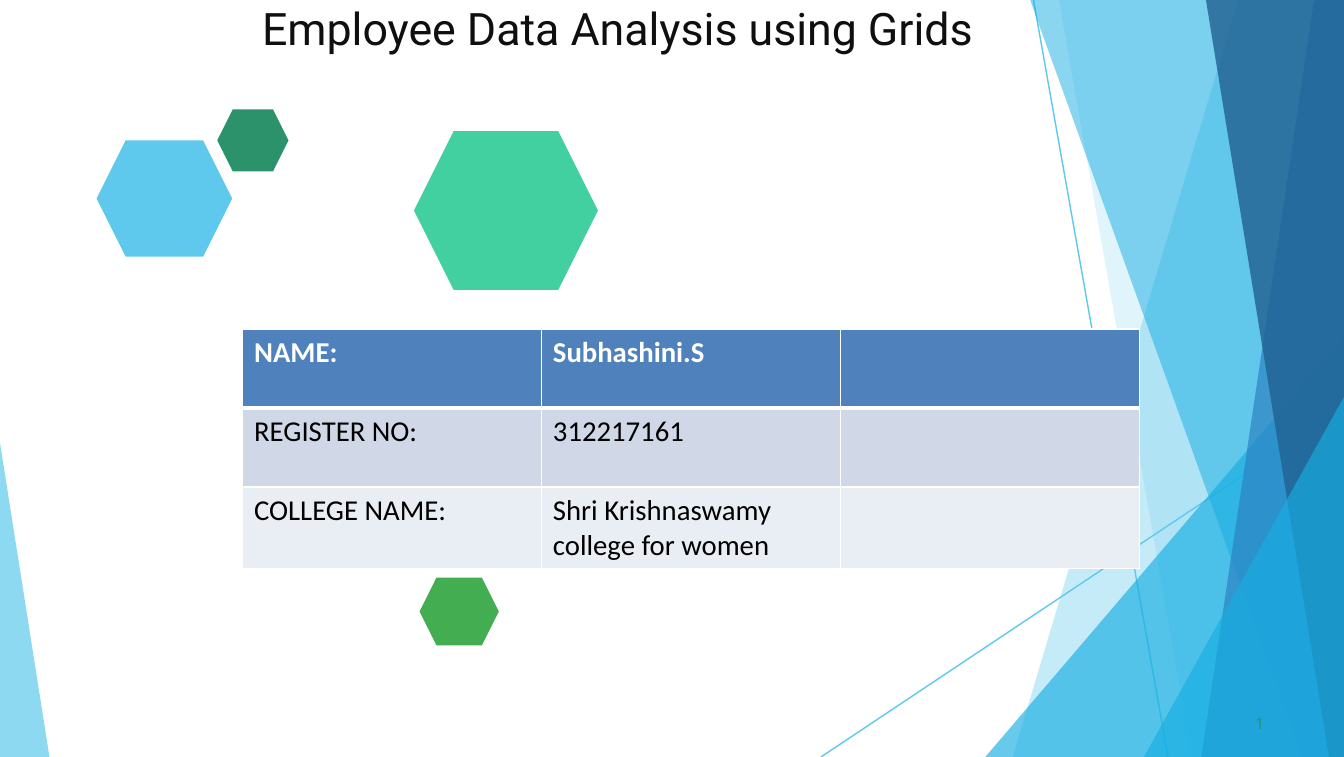
from lxml import etree
from pptx import Presentation
from pptx.dml.color import RGBColor
from pptx.enum.shapes import MSO_CONNECTOR, MSO_SHAPE
from pptx.enum.text import MSO_ANCHOR, MSO_AUTO_SIZE, PP_ALIGN
from pptx.oxml.ns import qn
from pptx.util import Inches, Pt

STRAIGHT = MSO_CONNECTOR.STRAIGHT
HEXAGON = MSO_SHAPE.HEXAGON
TOP = MSO_ANCHOR.TOP
NO_FIT = MSO_AUTO_SIZE.NONE
LEFT = PP_ALIGN.LEFT

W, H = Inches(11.69), Inches(6.58)
SKY, CYAN, WHITE = "5FC9ED", "16AEE2", "FFFFFF"

# Ray: x1, y1, x2, y2 in percent of the slide
RAYS = [(76.9, 0, 86.91, 100), (100, 53.95, 61.08, 100)]
# Facet: foot x, tip x, tip y, side x in percent, then colour and opacity
FACETS = [
    (75.36, 92.13, 0, 100, SKY, 36),
    (88.71, 78.79, 0, 100, SKY, 20),
    (73.31, 100, 44.53, 100, CYAN, 65),
    (96.92, 76.65, 0, 100, CYAN, 50),
    (89.39, 97.78, 0, 100, "2C83C3", 70),
    (98.89, 89.73, 0, 100, "216092", 80),
    (85.12, 100, 52.43, 100, CYAN, 65),
    (3.68, 0, 58.51, 0, SKY, 70),
]
# Hexagon: left, top, width, height in percent, then colour
HEXAGONS = [
    (7.19, 18.54, 10.09, 15.35, SKY),
    (16.17, 14.44, 5.3, 8.21, "2C926B"),
    (30.8, 17.33, 13.69, 20.97, "42D0A0"),
    (31.22, 76.29, 5.9, 8.97, "42AE51"),
]
DETAILS = [
    ("NAME:", "Subhashini.S", ""),
    ("REGISTER NO:", "312217161", ""),
    ("COLLEGE NAME:", "Shri Krishnaswamy college for women", ""),
]
ROW_FILLS = ["4F81BD", "D0D8E8", "E9EDF4"]


def rgb(hex_code):
    """Turn a hex string into a colour."""
    return RGBColor.from_string(hex_code)


def place(x, y):
    """Turn percentages of the slide into lengths."""
    return int(W * x / 100), int(H * y / 100)


def paint(sp, color, opacity=100):
    """Give a shape a flat fill without line or shadow."""
    sp.shadow.inherit = False
    sp.line.fill.background()
    sp.fill.solid()
    sp.fill.fore_color.rgb = rgb(color)
    if opacity < 100:
        clr = sp.fill._xPr.find(".//" + qn("a:srgbClr"))
        etree.SubElement(clr, qn("a:alpha"), val=str(opacity * 1000))


def add_ray(s, x1, y1, x2, y2):
    """Draw a thin line across the backdrop."""
    ray = s.shapes.add_connector(STRAIGHT, *place(x1, y1), *place(x2, y2))
    ray.line.color.rgb = rgb(SKY)
    ray.line.width = Pt(0.88)
    etree.SubElement(ray._element.spPr, qn("a:effectLst"))


def add_facet(s, foot, tip_x, tip_y, side, color, opacity):
    """Draw a translucent facet between a slanted edge and a slide side."""
    corners = [(tip_x, tip_y), (side, tip_y), (side, 100)]
    fb = s.shapes.build_freeform(*place(foot, 100))
    fb.add_line_segments([place(*c) for c in corners], close=True)
    paint(fb.convert_to_shape(), color, opacity)


def add_hexagon(s, x, y, w, h, color):
    """Draw a plain hexagon."""
    paint(s.shapes.add_shape(HEXAGON, *place(x, y), *place(w, h)), color)


def set_font(r, **values):
    """Set font attributes and the colour of a run."""
    r.font.color.rgb = rgb(values.pop("color"))
    for key, value in values.items():
        setattr(r.font, key, value)


def write_text(sp, text, x, y, w, h, before, **values):
    """Place a text shape and write one left-aligned line."""
    sp.left, sp.top = place(x, y)
    sp.width, sp.height = place(w, h)
    tf = sp.text_frame
    frame = {"margin_left": 0, "margin_top": Inches(0.01), "margin_right": 0,
             "margin_bottom": 0, "word_wrap": True, "auto_size": NO_FIT,
             "vertical_anchor": TOP}
    for key, value in frame.items():
        setattr(tf, key, value)
    p = tf.paragraphs[0]
    p.alignment, p.space_before = LEFT, Pt(before)
    r = p.add_run()
    r.text = text
    set_font(r, name="Roboto", **values)


def add_borders(cell, widths):
    """Edge a cell in white, widths given as left, right, top, bottom."""
    tc_pr = cell._tc.get_or_add_tcPr()
    for i, (side, width) in enumerate(zip("LRTB", widths)):
        ln = etree.Element(qn("a:ln" + side), w=str(Pt(width)))
        fill = etree.SubElement(ln, qn("a:solidFill"))
        etree.SubElement(fill, qn("a:srgbClr"), val=WHITE)
        tc_pr.insert(i, ln)


def add_details(s, x, y, w, h):
    """Add the table of personal details."""
    size = len(DETAILS), len(DETAILS[0])
    tbl = s.shapes.add_table(*size, *place(x, y), *place(w, h)).table
    for i, row in enumerate(DETAILS):
        for j, text in enumerate(row):
            cell = tbl.cell(i, j)
            cell.fill.solid()
            cell.fill.fore_color.rgb = rgb(ROW_FILLS[i])
            add_borders(cell, (1, 1, 3 if i == 1 else 1, 3 if i == 0 else 1))
            if text:
                r = cell.text_frame.paragraphs[0].add_run()
                r.text = text
                set_font(r, name="Calibri", size=Pt(18), bold=i == 0,
                         color=WHITE if i == 0 else "000000")


def main():
    """Build the slide and save it."""
    prs = Presentation()
    prs.slide_width, prs.slide_height = W, H
    s = prs.slides.add_slide(prs.slide_layouts[5])
    for ray in RAYS:
        add_ray(s, *ray)
    for facet in FACETS:
        add_facet(s, *facet)
    for hexagon in HEXAGONS:
        add_hexagon(s, *hexagon)
    write_text(s.shapes.title, "Employee Data Analysis using Grids",
               19.5, 0, 53.5, 7.6, 1.1, size=Pt(28), color="0F0F0F")
    number = s.shapes.add_textbox(0, 0, 0, 0)
    write_text(number, "1", 93.4, 94.22, 1.37, 2.89, 0.5,
               size=Pt(9.5), color="2C926B")
    add_details(s, 18.05, 43.47, 66.72, 31.3)
    prs.save("out.pptx")


if __name__ == "__main__":
    main()
